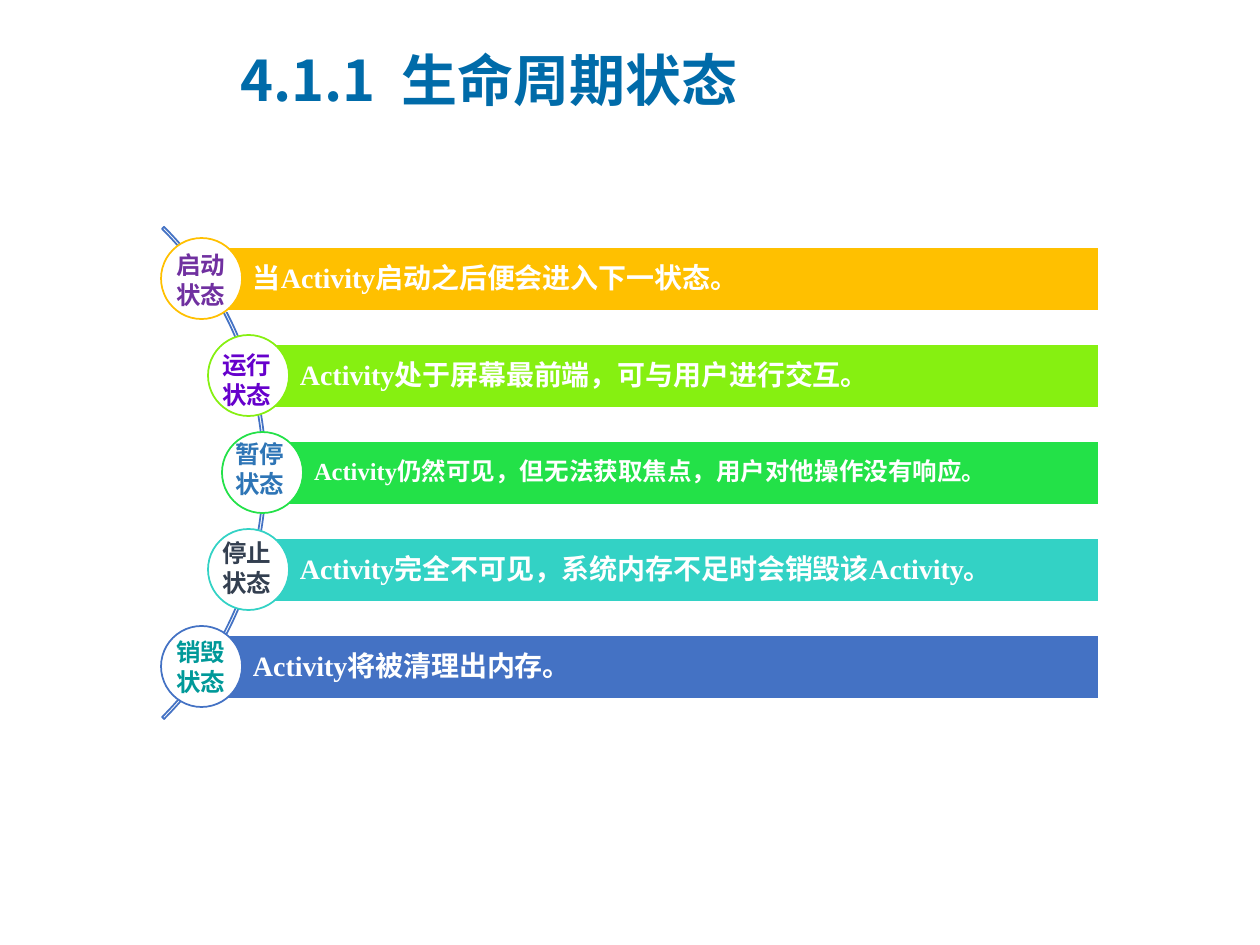
from dataclasses import dataclass
from lxml.etree import SubElement
from pptx import Presentation
from pptx.dml.color import RGBColor as RGB
from pptx.enum.shapes import MSO_SHAPE as Kind
from pptx.enum.text import MSO_ANCHOR as Anchor, PP_ALIGN as Align
from pptx.oxml.ns import qn
from pptx.util import Emu, Pt


@dataclass
class Theme:
    white: str = "FFFFFF"
    blue: str = "4472C4"
    title: str = "006BA9"
    sans: str = "Calibri"
    serif: str = "Times New Roman"
    han: str = "Noto Sans CJK SC"
    head: int = 32
    body: int = 16
    small: int = 14
    line: int = 1


T = Theme()
PX = 914400 / 126


def place(*box):
    return [Emu(round(n * PX)) for n in box]


def style(para, face, size, color):
    font = para.font
    font.name, font.size, font.bold = face, Pt(size), True
    font.color.rgb = RGB.from_string(color)
    para.alignment = Align.LEFT
    SubElement(para._p.pPr.find(qn("a:defRPr")), qn("a:ea"), typeface=T.han)


deck = Presentation()
deck.slide_width, deck.slide_height = place(1260, 945)
slide = deck.slides.add_slide(deck.slide_layouts[6])
shapes = slide.shapes

arc = shapes.add_shape(Kind.BLOCK_ARC, *place(-430, 125, 696, 696))
arc.shadow.inherit = False
arc.fill.background()
arc.line.color.rgb = RGB.from_string(T.blue)
arc.line.width = Pt(T.line)
for i, value in enumerate((189, 27, 0)):
    arc.adjustments[i] = value
arc.adjustments[2] = 0.004

right, top, pitch = 1099, 238, 97
dot, bar = 81, 64
rows = [
    (161, "FFC000", "启动", "7030A0", 164, 6, T.body,
     "当Activity启动之后便会进入下一状态。"),
    (208, "86F011", "运行", "6600CC", 210, 9, T.body,
     "Activity处于屏幕最前端，可与用户进行交互。"),
    (222, "23E148", "暂停", "2E75B6", 223, 1, T.small,
     "Activity仍然可见，但无法获取焦点，用户对他操作没有响应。"),
    (208, "33D2C5", "停止", "333F50", 210, 3, T.body,
     "Activity完全不可见，系统内存不足时会销毁该Activity。"),
    (161, T.blue, "销毁", "009999", 164, 5, T.body,
     "Activity将被清理出内存。"),
]

for i, (left, color, state, ink, x, drop, size, text) in enumerate(rows):
    y = top + i * pitch
    start = left + dot // 2
    band = shapes.add_shape(
        Kind.RECTANGLE, *place(start, y + 9, right - start, bar))
    ring = shapes.add_shape(Kind.OVAL, *place(left, y, dot, dot))
    for shape, fill, edge in ((band, color, T.white), (ring, T.white, color)):
        shape.shadow.inherit = False
        shape.fill.solid()
        shape.fill.fore_color.rgb = RGB.from_string(fill)
        shape.line.color.rgb = RGB.from_string(edge)
        shape.line.width = Pt(T.line)

    frame = band.text_frame
    frame.word_wrap = True
    frame.vertical_anchor = Anchor.MIDDLE
    (frame.margin_left, frame.margin_top,
     frame.margin_right, frame.margin_bottom) = place(52, 5, 5, 5)
    para = frame.paragraphs[0]
    para.line_spacing = 0.9
    style(para, T.serif, size, T.white)
    for part in text.partition("Activity"):
        if part:
            run = para.add_run()
            run.text = part
            run.font.name = T.serif if "Activity" in part else T.sans

    label = shapes.add_textbox(*place(x, y + drop, 74, 72)).text_frame
    label.word_wrap = False
    label.text = f"{state}\n状态"
    for para in label.paragraphs:
        style(para, T.sans, T.small, ink)

title = shapes.add_textbox(*place(228, 26, 709, 106)).text_frame
title.word_wrap = True
title.vertical_anchor = Anchor.MIDDLE
title.text = "4.1.1  生命周期状态"
style(title.paragraphs[0], T.han, T.head, T.title)

deck.save("out.pptx")
